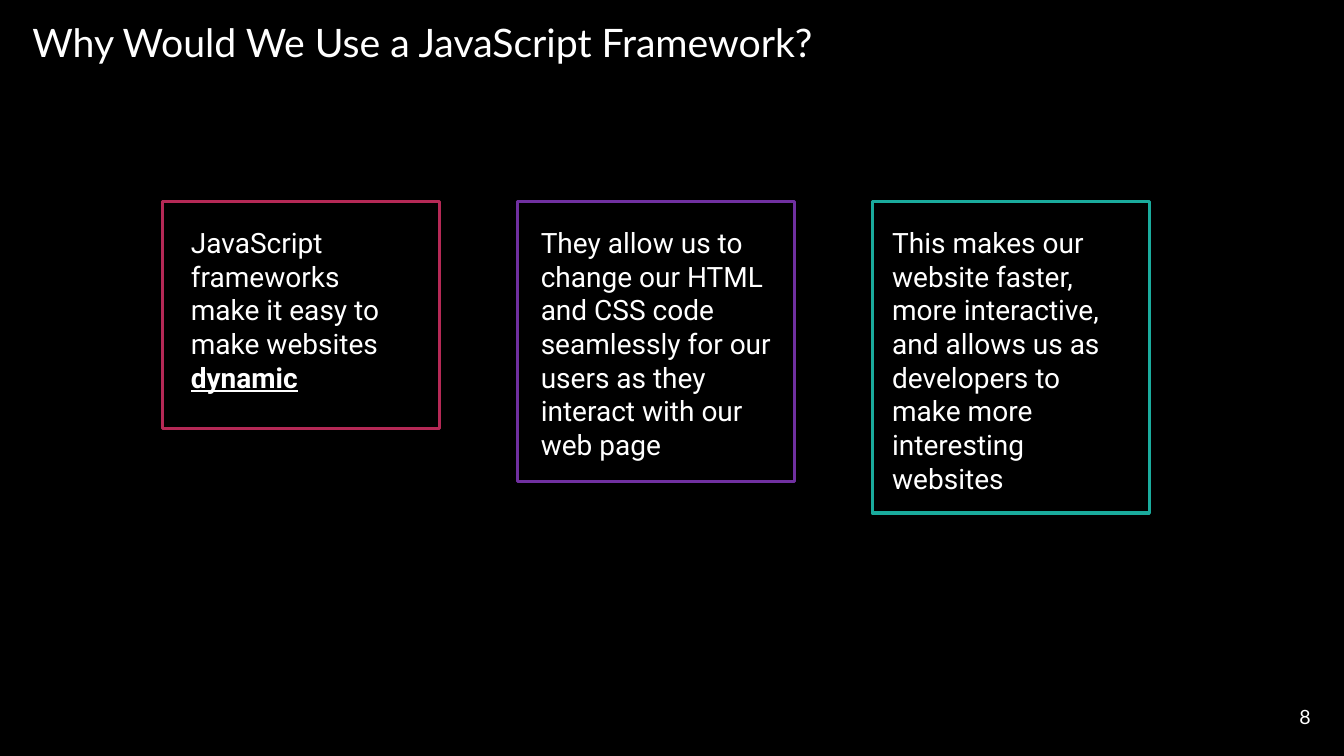
from pptx import Presentation
from pptx.dml.color import RGBColor
from pptx.enum.shapes import MSO_SHAPE
from pptx.enum.text import MSO_ANCHOR, PP_ALIGN
from pptx.util import Inches, Pt

BLACK = RGBColor(0x00, 0x00, 0x00)
WHITE = RGBColor(0xFF, 0xFF, 0xFF)
PINK = RGBColor(0xB5, 0x29, 0x56)
PURPLE = RGBColor(0x70, 0x30, 0xA0)
TEAL = RGBColor(0x1A, 0xAB, 0x9D)

TITLE = "Why Would We Use a JavaScript Framework?"
PAGE = "8"
# Colour, frame height, text width, text height, plain words, stressed word
CARDS = [
    (PINK, 2.25, 2.38, 1.78,
     "JavaScript frameworks make it easy to make websites ", "dynamic"),
    (PURPLE, 2.78, 2.48, 2.46,
     "They allow us to change our HTML and CSS code seamlessly for our users "
     "as they interact with our web page", ""),
    (TEAL, 3.09, 2.55, 2.79,
     "This makes our website faster, more interactive, and allows us as "
     "developers to make more interesting websites", ""),
]

LEFT, TOP, WIDTH, STEP = 1.61, 2, 2.75, 3.52
INSET = 0.19

BODY = {"name": "Roboto", "size": Pt(20)}
STRESS = {**BODY, "bold": True, "underline": True}
HEAD = {"name": "Lato", "size": Pt(28), "bold": False}
SMALL = {"name": "Lato", "size": Pt(14)}


def add_run(para, text, style):
    run = para.add_run()
    run.text = text
    run.font.color.rgb = WHITE
    for key, value in style.items():
        setattr(run.font, key, value)


def add_text(slide, area, parts, align=PP_ALIGN.LEFT):
    """Add a wrapped text box holding (text, style) parts."""
    frame = slide.shapes.add_textbox(*map(Inches, area)).text_frame
    frame.word_wrap = True
    para = frame.paragraphs[0]
    para.alignment = align
    for text, style in parts:
        add_run(para, text, style)


def add_title(slide):
    title = slide.shapes.title
    title.left, title.top, title.width, title.height = map(
        Inches, (0.22, 0.13, 8.52, 0.57))
    title.fill.solid()
    title.fill.fore_color.rgb = BLACK
    frame = title.text_frame
    frame.word_wrap = True
    frame.vertical_anchor = MSO_ANCHOR.TOP
    para = frame.paragraphs[0]
    para.alignment = PP_ALIGN.LEFT
    para.line_spacing = 1.0
    para.space_before = Pt(0)
    add_run(para, TITLE, HEAD)


def add_card(slide, col, card):
    color, high, wide, tall, plain, stress = card
    left = LEFT + col * STEP
    box = slide.shapes.add_shape(
        MSO_SHAPE.RECTANGLE, *map(Inches, (left, TOP, WIDTH, high)))
    box.shadow.inherit = False
    box.fill.background()
    box.line.color.rgb = color
    box.line.width = Pt(2.25)
    parts = [(plain, BODY)]
    if stress:
        parts.append((stress, STRESS))
    inner = left + (WIDTH - wide) / 2
    add_text(slide, (inner, TOP + INSET, wide, tall), parts)


def main():
    deck = Presentation()
    deck.slide_width, deck.slide_height = Inches(13.33), Inches(7.5)
    slide = deck.slides.add_slide(deck.slide_layouts[5])
    slide.background.fill.solid()
    slide.background.fill.fore_color.rgb = BLACK
    add_title(slide)
    for col, card in enumerate(CARDS):
        add_card(slide, col, card)
    add_text(slide, (12.76, 6.94, 0.37, 0.34), [(PAGE, SMALL)],
             PP_ALIGN.CENTER)
    deck.save("out.pptx")


if __name__ == "__main__":
    main()
